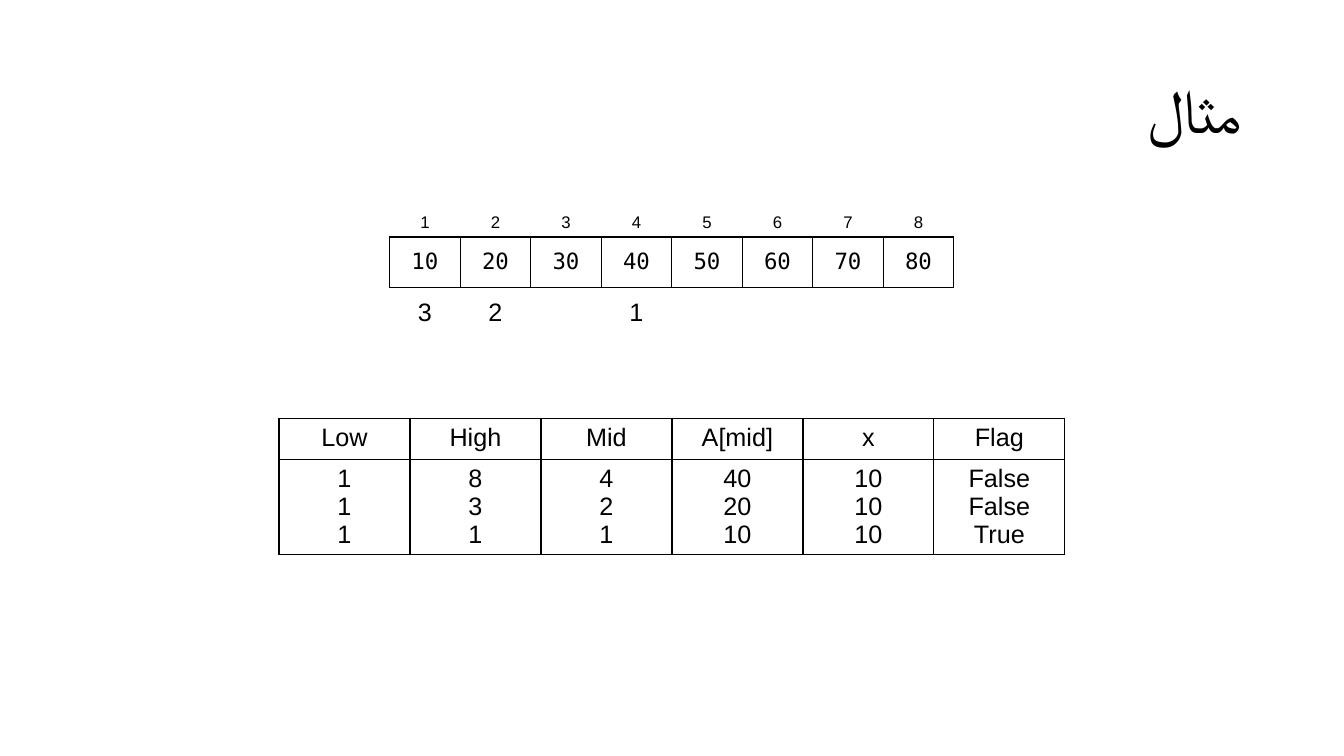
from dataclasses import dataclass

from lxml.etree import SubElement
from pptx import Presentation
from pptx.dml.color import RGBColor
from pptx.enum.text import MSO_ANCHOR as Anchor, PP_ALIGN as Align
from pptx.oxml.ns import qn
from pptx.util import Cm, Pt


@dataclass(frozen=True)
class Theme:
    ink: str = "000000"
    font: str = "Arial"
    code_font: str = "DejaVu Sans Mono"
    title_size: int = 44
    body_size: int = 18
    code_size: int = 16
    index_size: int = 12
    border_width: int = 1


THEME = Theme()

VALUES = [10, 20, 30, 40, 50, 60, 70, 80]
PROBE_ORDER = {40: 1, 20: 2, 10: 3}
TRACE = {
    "Low": [1, 1, 1],
    "High": [8, 3, 1],
    "Mid": [4, 2, 1],
    "A[mid]": [40, 20, 10],
    "x": [10, 10, 10],
    "Flag": ["False", "False", "True"],
}


def write_text(frame, text, size=THEME.body_size, font=THEME.font,
               align=Align.CENTER, anchor=Anchor.TOP, rtl=False, spacing=None):
    """Fill a text frame, one paragraph per line of text."""
    frame.text = text
    frame.vertical_anchor = anchor
    for paragraph in frame.paragraphs:
        paragraph.alignment = align
        if spacing:
            paragraph.line_spacing = spacing
        if rtl:
            paragraph._p.get_or_add_pPr().set("rtl", "1")
        for run in paragraph.runs:
            run.font.size = Pt(size)
            run.font.name = font
            run.font.color.rgb = RGBColor.from_string(THEME.ink)
            if rtl:
                SubElement(run._r.get_or_add_rPr(), qn("a:cs"), typeface=font)


def set_borders(cell, sides):
    """Draw the sides named in a string of L, R, T, B and hide the others."""
    properties = cell._tc.get_or_add_tcPr()
    for side in "LRTB":
        line = SubElement(properties, qn(f"a:ln{side}"),
                          w=str(Pt(THEME.border_width)))
        if side in sides:
            fill = SubElement(line, qn("a:solidFill"))
            SubElement(fill, qn("a:srgbClr"), val=THEME.ink)
        else:
            SubElement(line, qn("a:noFill"))


def add_grid(slide, box, columns, row_heights):
    """Add an unstyled table with equal columns across the box."""
    left, top, width, height = box
    table = slide.shapes.add_table(len(row_heights), columns, left, top,
                                   width, height).table
    table.first_row = table.horz_banding = False
    for column in table.columns:
        column.width = width // columns
    for row, row_height in zip(table.rows, row_heights):
        row.height = row_height
    return table


def fill_cell(cell, text, borders, anchor=Anchor.TOP, **text_format):
    set_borders(cell, borders)
    cell.fill.background()
    write_text(cell.text_frame, text, **text_format)
    cell.vertical_anchor = anchor


def add_title(slide, box, text):
    title = slide.shapes.title
    title.left, title.top, title.width, title.height = box
    write_text(title.text_frame, text, size=THEME.title_size, align=Align.RIGHT,
               anchor=Anchor.MIDDLE, rtl=True, spacing=0.9)


def add_array(slide, box):
    """Indices above the boxed values, probe order below."""
    table = add_grid(slide, box, len(VALUES), [box[3] // 3] * 3)
    for column, value in enumerate(VALUES):
        fill_cell(table.cell(0, column), str(column + 1), "B",
                  anchor=Anchor.BOTTOM, size=THEME.index_size)
        fill_cell(table.cell(1, column), str(value), "LRTB",
                  anchor=Anchor.MIDDLE, size=THEME.code_size,
                  font=THEME.code_font)
        fill_cell(table.cell(2, column), str(PROBE_ORDER.get(value, "")), "T",
                  anchor=Anchor.MIDDLE)


def add_trace(slide, box):
    """Search variables, with one line per step."""
    header_height = Cm(1.04)
    table = add_grid(slide, box, len(TRACE),
                     [header_height, box[3] - header_height])
    for column, (name, steps) in enumerate(TRACE.items()):
        fill_cell(table.cell(0, column), name, "LRTB")
        fill_cell(table.cell(1, column), "\n".join(map(str, steps)), "LRTB")


def main():
    presentation = Presentation()
    presentation.slide_width, presentation.slide_height = Cm(33.87), Cm(19.05)
    slide = presentation.slides.add_slide(presentation.slide_layouts[5])
    add_title(slide, (Cm(2.33), Cm(1.01), Cm(29.21), Cm(3.68)), "مثال")
    add_array(slide, (Cm(9.82), Cm(4.7), Cm(14.22), Cm(3.81)))
    add_trace(slide, (Cm(7.03), Cm(10.54), Cm(19.81), Cm(3.43)))
    presentation.save("out.pptx")


if __name__ == "__main__":
    main()
